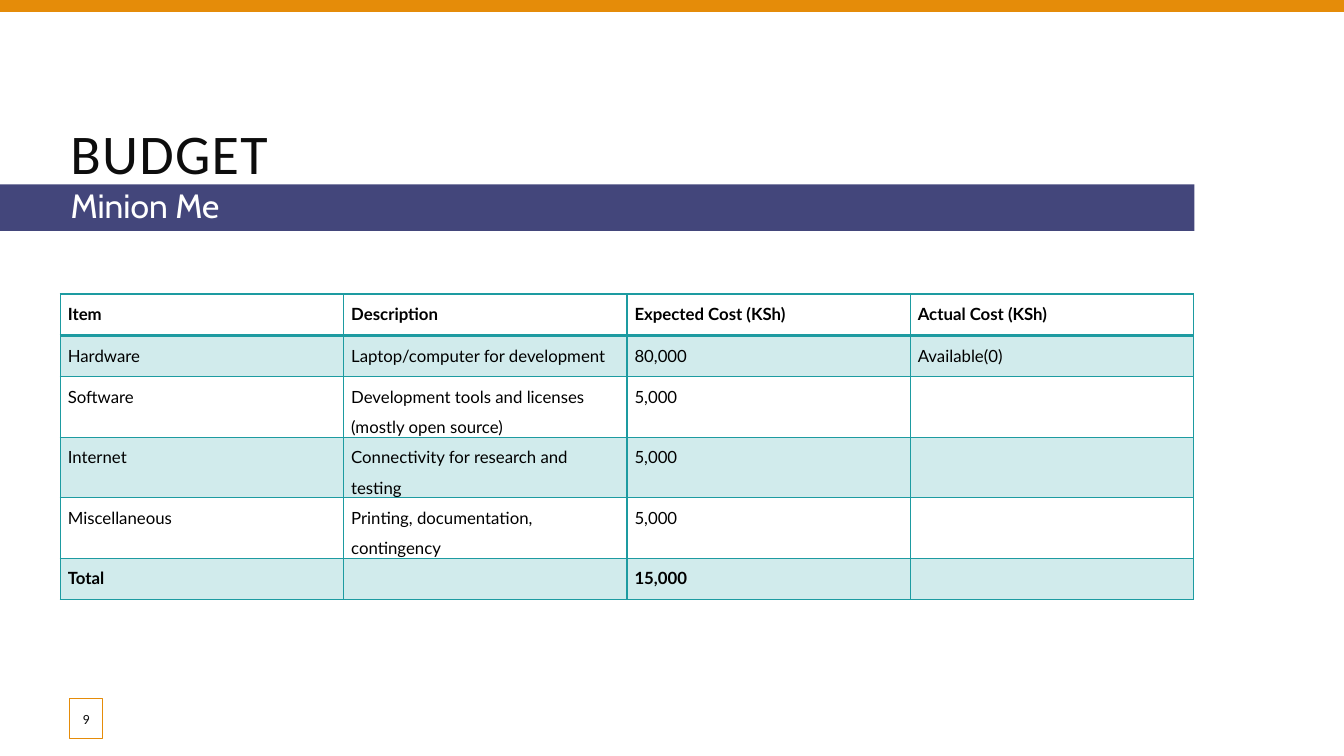
from dataclasses import dataclass

from lxml import etree
from pptx import Presentation
from pptx import util as u
from pptx.dml.color import RGBColor
from pptx.enum import shapes, text
from pptx.oxml import ns

ORANGE = RGBColor(0xE5, 0x8C, 0x09)
INDIGO = RGBColor(0x43, 0x46, 0x7B)
TEAL = RGBColor(0x1D, 0x9B, 0xA1)
WHITE = RGBColor(0xFF, 0xFF, 0xFF)
BLACK = RGBColor(0x00, 0x00, 0x00)
INK = RGBColor(0x0D, 0x0D, 0x0D)

ROW_HEIGHT = u.Cm(1.04)
COLUMN_WIDTH = u.Cm(7.14)
CELL_MARGIN = u.Cm(0.19)

BUDGET = [
    ("Item", "Description", "Expected Cost (KSh)", "Actual Cost (KSh)"),
    ("Hardware", "Laptop/computer for development", "80,000", "Available(0)"),
    ("Software", "Development tools and licenses (mostly open source)", "5,000", ""),
    ("Internet", "Connectivity for research and testing", "5,000", ""),
    ("Miscellaneous", "Printing, documentation, contingency", "5,000", ""),
    ("Total", "", "15,000", ""),
]


@dataclass
class Style:
    font: str
    size: float
    color: RGBColor
    bold: bool = False


@dataclass
class Panel:
    left: float
    top: float
    width: float
    height: float
    fill: RGBColor
    opacity: int = 100
    line: RGBColor | None = None


def add_text(para, words: str, style: Style):
    span = para.add_run()
    span.text = words
    span.font.name = style.font
    span.font.size = u.Pt(style.size)
    span.font.bold = style.bold
    span.font.color.rgb = style.color
    return span


def set_fill(fill, element, color: RGBColor, opacity: int) -> None:
    fill.solid()
    fill.fore_color.rgb = color
    if opacity < 100:
        tint = element.find(ns.qn("a:solidFill")).find(ns.qn("a:srgbClr"))
        etree.SubElement(tint, ns.qn("a:alpha"), val=str(opacity * 1000))


def add_panel(page, panel: Panel):
    box = page.shapes.add_shape(
        shapes.MSO_SHAPE.RECTANGLE,
        u.Cm(panel.left), u.Cm(panel.top), u.Cm(panel.width), u.Cm(panel.height),
    )
    box.shadow.inherit = False
    set_fill(box.fill, box.fill._xPr, panel.fill, panel.opacity)
    if panel.line is None:
        box.line.fill.background()
    else:
        box.line.color.rgb = panel.line
        box.line.width = u.Pt(0.75)
    return box


def set_borders(cell, bottom_width: float) -> None:
    properties = cell._tc.get_or_add_tcPr()
    widths = {"a:lnL": 1, "a:lnR": 1, "a:lnT": 1, "a:lnB": bottom_width}
    for tag, width in widths.items():
        border = etree.SubElement(properties, ns.qn(tag), w=str(u.Pt(width)))
        paint = etree.SubElement(border, ns.qn("a:solidFill"))
        etree.SubElement(paint, ns.qn("a:srgbClr"), val=str(TEAL))


def fill_cell(cell, words: str, bold: bool, tinted: bool, bottom_width: float) -> None:
    set_borders(cell, bottom_width)
    if tinted:
        set_fill(cell.fill, cell._tc.tcPr, TEAL, 20)
    else:
        cell.fill.background()
    cell.margin_left = cell.margin_right = CELL_MARGIN
    cell.margin_top = cell.margin_bottom = 0
    if words:
        para = cell.text_frame.paragraphs[0]
        para.line_spacing = 1.5
        add_text(para, words, Style("Lato", 12, BLACK, bold))


def add_budget_table(page) -> None:
    rows, columns = len(BUDGET), len(BUDGET[0])
    table = page.shapes.add_table(
        rows, columns, u.Cm(1.52), u.Cm(7.41), COLUMN_WIDTH * columns, ROW_HEIGHT * rows
    ).table
    table.first_row = table.horz_banding = False
    for column in table.columns:
        column.width = COLUMN_WIDTH
    for index, entries in enumerate(BUDGET):
        table.rows[index].height = ROW_HEIGHT
        for position, words in enumerate(entries):
            fill_cell(
                table.cell(index, position),
                words,
                bold=index in (0, rows - 1),
                tinted=index % 2 == 1,
                bottom_width=2 if index == 0 else 1,
            )


def add_title(page) -> None:
    title = page.shapes.title
    title.left, title.top = u.Cm(1.52), u.Cm(2.74)
    title.width, title.height = u.Cm(30.02), u.Cm(1.96)
    frame = title.text_frame
    frame.vertical_anchor = text.MSO_ANCHOR.BOTTOM
    frame.margin_bottom = 0
    para = frame.paragraphs[0]
    para.alignment = text.PP_ALIGN.LEFT
    para.line_spacing = 0.9
    span = add_text(para, "BUDGET", Style("Calibri", 40, INK))
    span.font._element.set("spc", "100")


def add_subtitle(page) -> None:
    frame = add_panel(page, Panel(0, 4.65, 30.1, 1.17, INDIGO)).text_frame
    frame.word_wrap = True
    frame.vertical_anchor = text.MSO_ANCHOR.TOP
    frame.margin_left = u.Cm(1.78)
    para = frame.paragraphs[0]
    para.alignment = text.PP_ALIGN.LEFT
    para.line_spacing = 0.9
    add_text(para, "Minion Me", Style("Cabin", 24, WHITE))


def add_page_number(page) -> None:
    frame = add_panel(page, Panel(1.75, 17.6, 0.84, 1.02, WHITE, 82, ORANGE)).text_frame
    frame.vertical_anchor = text.MSO_ANCHOR.MIDDLE
    frame.margin_left = frame.margin_right = 0
    para = frame.paragraphs[0]
    para.alignment = text.PP_ALIGN.CENTER
    add_text(para, "9", Style("Calibri", 10, INK))


def main() -> None:
    deck = Presentation()
    deck.slide_width, deck.slide_height = u.Cm(33.87), u.Cm(19.05)
    page = deck.slides.add_slide(deck.slide_layouts[5])
    add_panel(page, Panel(0, 0, 33.87, 0.3, ORANGE))
    add_title(page)
    add_budget_table(page)
    add_subtitle(page)
    add_page_number(page)
    deck.save("out.pptx")


if __name__ == "__main__":
    main()
